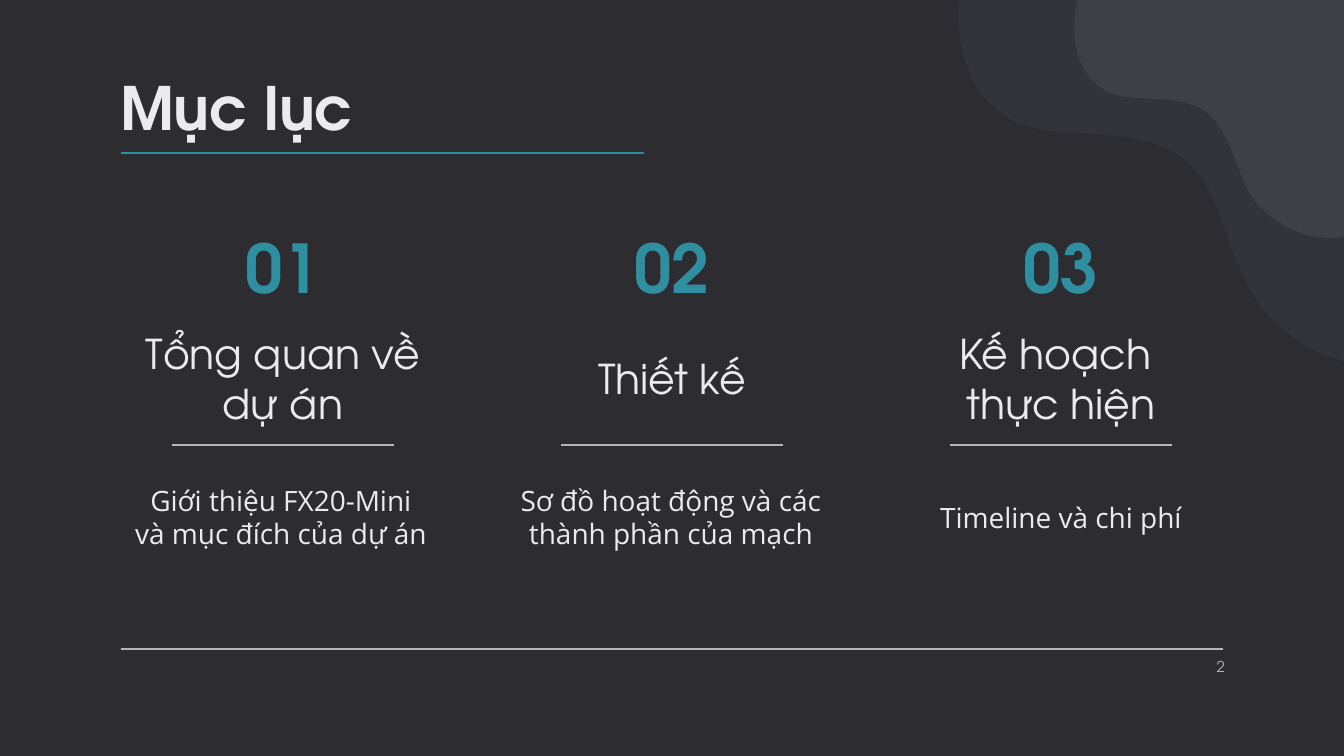
"""Builds a dark table-of-contents slide with three numbered columns."""
from lxml import etree
from pptx import Presentation
from pptx.dml.color import RGBColor
from pptx.enum.shapes import MSO_CONNECTOR
from pptx.enum.text import MSO_ANCHOR, PP_ALIGN
from pptx.oxml.ns import qn
from pptx.util import Inches, Pt

PX = 914400 / 134.4
INSET = Inches(0.1)
STRAIGHT = MSO_CONNECTOR.STRAIGHT
TOP, MIDDLE = MSO_ANCHOR.TOP, MSO_ANCHOR.MIDDLE
LEFT, CENTER, RIGHT = PP_ALIGN.LEFT, PP_ALIGN.CENTER, PP_ALIGN.RIGHT

COLORS = {
    "background": "2D2C31",
    "outer_wave": "333439",
    "inner_wave": "3F4045",
    "text": "EBEAEF",
    "accent": "2F8EA0",
    "rule": "B6B6B6",
}
HEADING_FONT = "TeX Gyre Adventor"
BODY_FONT = "Open Sans"

FIRST_CENTER, COLUMN_PITCH = 283, 389
COLUMNS = [
    ("01", "Tổng quan về dự án", "Giới thiệu FX20-Mini và mục đích của dự án", 121, 320),
    ("02", "Thiết kế", "Sơ đồ hoạt động và các thành phần của mạch", 489, 364),
    ("03", "Kế hoạch \vthực hiện", "Timeline và chi phí", 904, 314),
]

OUTER_WAVE = [
    (1386, 367),
    (1333, 367, 1282, 340, 1254, 296),
    (1231, 259, 1224, 215, 1202, 179),
    (1167, 126, 1098, 138, 1044, 130),
    (958, 117, 945, 20, 969, -48),
    (977, -74, 995, -95, 1017, -108),
    (1422, -108),
    (1421, 362),
    (1410, 366, 1398, 367, 1386, 367),
]
INNER_WAVE = [
    (1331, 238),
    (1300, 238, 1270, 222, 1251, 196),
    (1238, 173, 1234, 148, 1219, 126),
    (1199, 94, 1157, 101, 1125, 97),
    (1074, 89, 1066, 31, 1081, -11),
    (1085, -26, 1095, -39, 1109, -47),
    (1352, -47),
    (1352, 235),
    (1344, 237, 1337, 238, 1331, 238),
]


def px(n):
    return round(n * PX)


def rgb(name):
    return RGBColor.from_string(COLORS[name])


def bend_segments(shape, segments):
    lines = iter(list(shape._element.iter(qn("a:lnTo"))))
    for segment in segments:
        first, *others = [next(lines) for _ in range(len(segment) // 2)]
        if others:
            first.tag = qn("a:cubicBezTo")
            for line in others:
                first.append(line[0])
                line.getparent().remove(line)


def add_wave(s, segments, color):
    points = [
        (px(segment[i]), px(segment[i + 1]))
        for segment in segments
        for i in range(0, len(segment), 2)
    ]
    builder = s.shapes.build_freeform(*points[0])
    builder.add_line_segments(points[1:], close=True)
    wave = builder.convert_to_shape()
    bend_segments(wave, segments[1:])
    wave.shadow.inherit = False
    wave.fill.solid()
    wave.fill.fore_color.rgb = rgb(color)
    wave.line.fill.background()


def add_rule(s, left, right, y, color, weight):
    rule = s.shapes.add_connector(STRAIGHT, px(left), px(y), px(right), px(y))
    rule.line.color.rgb = rgb(color)
    rule.line.width = Pt(weight)
    etree.SubElement(rule._element.spPr, qn("a:effectLst"))


def add_text(s, box, text, size, color="text", font=HEADING_FONT, bold=False,
             align=CENTER, anchor=MIDDLE):
    tf = s.shapes.add_textbox(*map(px, box)).text_frame
    tf.word_wrap = True
    tf.vertical_anchor = anchor
    tf.margin_left = tf.margin_right = tf.margin_top = tf.margin_bottom = INSET
    tf.text = text
    p = tf.paragraphs[0]
    p.alignment = align
    for r in p.runs:
        r.font.name = font
        r.font.size = Pt(size)
        r.font.bold = bold
        r.font.color.rgb = rgb(color)


def add_column(s, center, number, heading, body, body_left, body_width):
    add_text(s, (center - 61, 226, 122, 81), number, 36, "accent", bold=True)
    add_text(s, (center - 157, 325, 314, 106), heading, 22)
    add_text(s, (body_left, 452, body_width, 130), body, 15, font=BODY_FONT)
    add_rule(s, center - 111, center + 111, 445, "rule", 0.75)


def main():
    prs = Presentation()
    prs.slide_width, prs.slide_height = px(1344), px(756)
    s = prs.slides.add_slide(prs.slide_layouts[6])
    s.background.fill.solid()
    s.background.fill.fore_color.rgb = rgb("background")

    add_rule(s, 121, 1223, 649, "rule", 0.75)
    add_wave(s, OUTER_WAVE, "outer_wave")
    add_wave(s, INNER_WAVE, "inner_wave")
    add_text(s, (107, 57, 1133, 87), "Mục lục", 32, bold=True, align=LEFT, anchor=TOP)
    for i, column in enumerate(COLUMNS):
        add_column(s, FIRST_CENTER + i * COLUMN_PITCH, *column)
    add_text(s, (1157, 655, 81, 23), "2", 8, "rule", align=RIGHT)
    add_rule(s, 121, 644, 153, "accent", 1.5)

    prs.save("out.pptx")


if __name__ == "__main__":
    main()
